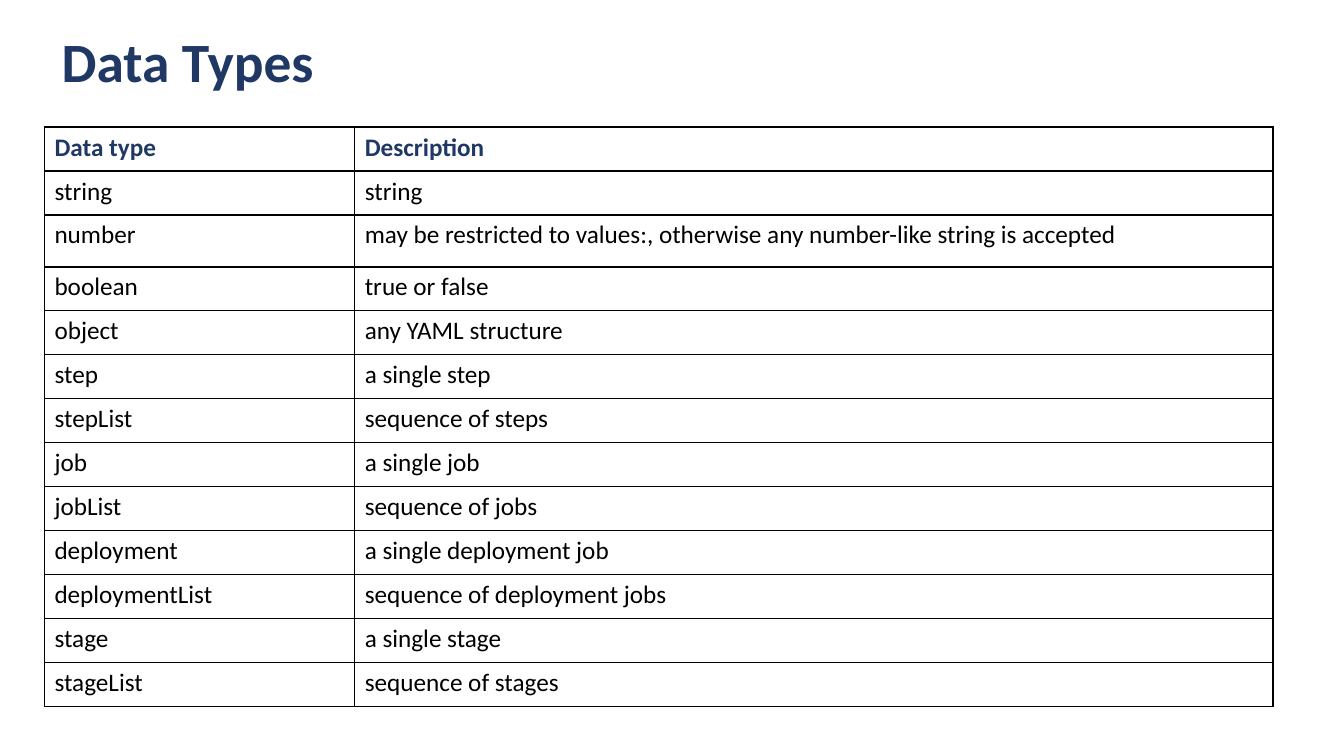
from dataclasses import dataclass

from lxml import etree
from pptx import Presentation
from pptx.dml.color import RGBColor
from pptx.enum.text import MSO_ANCHOR, MSO_AUTO_SIZE, PP_ALIGN
from pptx.oxml.ns import qn
from pptx.slide import Slide
from pptx.table import _Cell
from pptx.util import Cm, Pt

NAVY = RGBColor(0x20, 0x38, 0x64)
BLACK = RGBColor(0x00, 0x00, 0x00)
WHITE = RGBColor(0xFF, 0xFF, 0xFF)
FONT = "Calibri"
LEFT = PP_ALIGN.LEFT
MIDDLE = MSO_ANCHOR.MIDDLE
NO_AUTOFIT = MSO_AUTO_SIZE.NONE

TABLE_LEFT, TABLE_TOP = 1.12, 3.2
TABLE_HEIGHT = 14.61
COLUMN_WIDTHS = (7.82, 23.14)
TALL_ROW_HEIGHT = 1.31
BORDER_WIDTH = Pt(1)


@dataclass(frozen=True)
class DataType:
    name: str
    description: str
    tall: bool = False


HEADING = DataType("Data type", "Description")
DATA_TYPES = (
    DataType("string", "string"),
    DataType(
        "number",
        "may be restricted to values:, otherwise any number-like string is accepted",
        tall=True,
    ),
    DataType("boolean", "true or false"),
    DataType("object", "any YAML structure"),
    DataType("step", "a single step"),
    DataType("stepList", "sequence of steps"),
    DataType("job", "a single job"),
    DataType("jobList", "sequence of jobs"),
    DataType("deployment", "a single deployment job"),
    DataType("deploymentList", "sequence of deployment jobs"),
    DataType("stage", "a single stage"),
    DataType("stageList", "sequence of stages"),
)


def add_borders(cell: _Cell) -> None:
    properties = cell._tc.get_or_add_tcPr()
    for side in ("a:lnL", "a:lnR", "a:lnT", "a:lnB"):
        line = etree.SubElement(properties, qn(side), w=str(BORDER_WIDTH))
        fill = etree.SubElement(line, qn("a:solidFill"))
        etree.SubElement(fill, qn("a:srgbClr"), val=str(BLACK))


def write_cell(cell: _Cell, text: str, is_heading: bool) -> None:
    add_borders(cell)
    cell.fill.solid()
    cell.fill.fore_color.rgb = WHITE
    cell.text = text
    font = cell.text_frame.paragraphs[0].font
    font.name = FONT
    font.size = Pt(18)
    font.bold = is_heading
    font.color.rgb = NAVY if is_heading else BLACK


def add_title(slide: Slide, text: str) -> None:
    title = slide.shapes.title
    title.left, title.top = Cm(1.3), Cm(0.97)
    title.width, title.height = Cm(29.21), Cm(1.32)
    frame = title.text_frame
    frame.text = text
    frame.auto_size = NO_AUTOFIT
    frame.vertical_anchor = MIDDLE
    paragraph = frame.paragraphs[0]
    paragraph.alignment = LEFT
    paragraph.line_spacing = 0.9
    paragraph.font.name = FONT
    paragraph.font.size = Pt(39.6)
    paragraph.font.bold = True
    paragraph.font.color.rgb = NAVY


def add_type_table(slide: Slide, entries: tuple[DataType, ...]) -> None:
    table = slide.shapes.add_table(
        len(entries), len(COLUMN_WIDTHS),
        Cm(TABLE_LEFT), Cm(TABLE_TOP), Cm(sum(COLUMN_WIDTHS)), Cm(TABLE_HEIGHT),
    ).table
    table.horz_banding = False
    table.first_row = False
    for column, width in zip(table.columns, COLUMN_WIDTHS):
        column.width = Cm(width)

    # Ordinary rows share the height left by the tall ones
    tall_count = sum(entry.tall for entry in entries)
    row_height = (TABLE_HEIGHT - tall_count * TALL_ROW_HEIGHT) / (len(entries) - tall_count)
    for row, entry in zip(table.rows, entries):
        row.height = Cm(TALL_ROW_HEIGHT if entry.tall else row_height)
        for cell, text in zip(row.cells, (entry.name, entry.description)):
            write_cell(cell, text, entry is HEADING)


def main() -> None:
    presentation = Presentation()
    presentation.slide_width, presentation.slide_height = Cm(33.87), Cm(19.05)
    title_only = presentation.slide_layouts[5]
    slide = presentation.slides.add_slide(title_only)

    # Title
    add_title(slide, "Data Types")

    # Data types and their descriptions
    add_type_table(slide, (HEADING, *DATA_TYPES))

    presentation.save("out.pptx")


if __name__ == "__main__":
    main()
